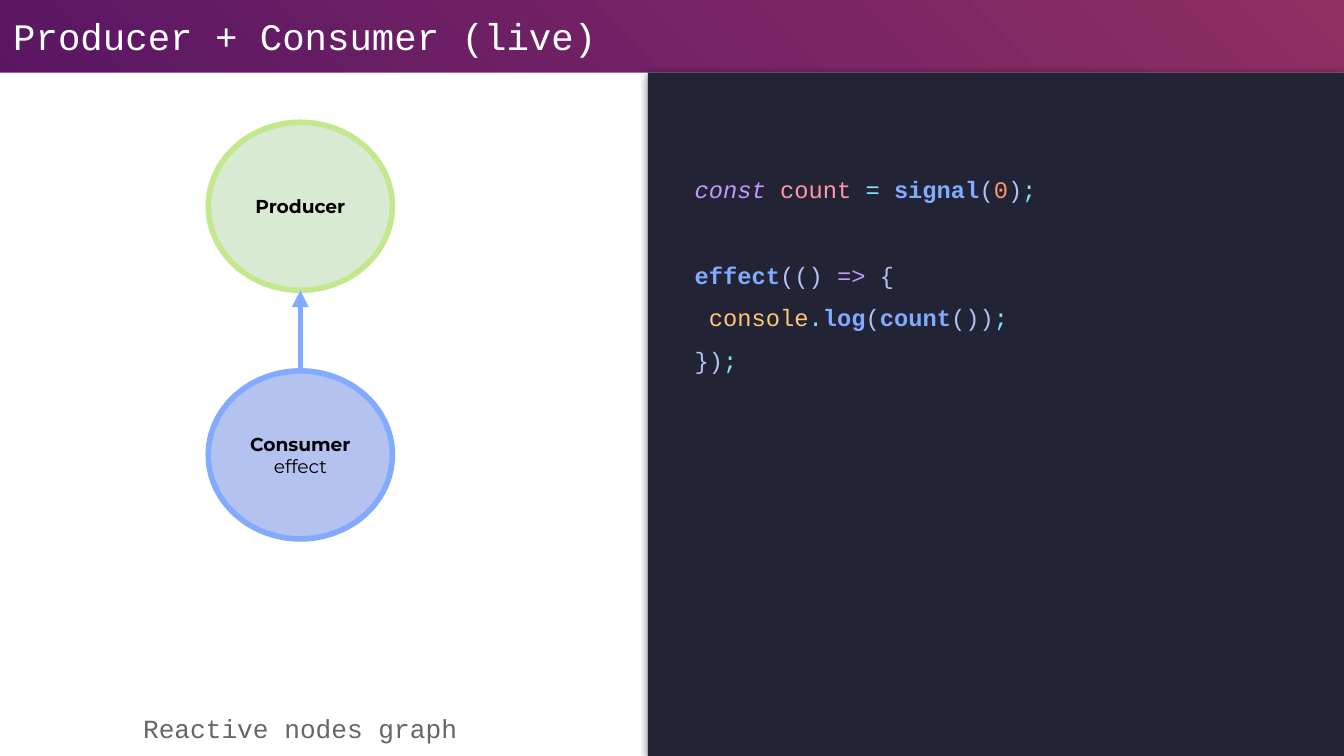
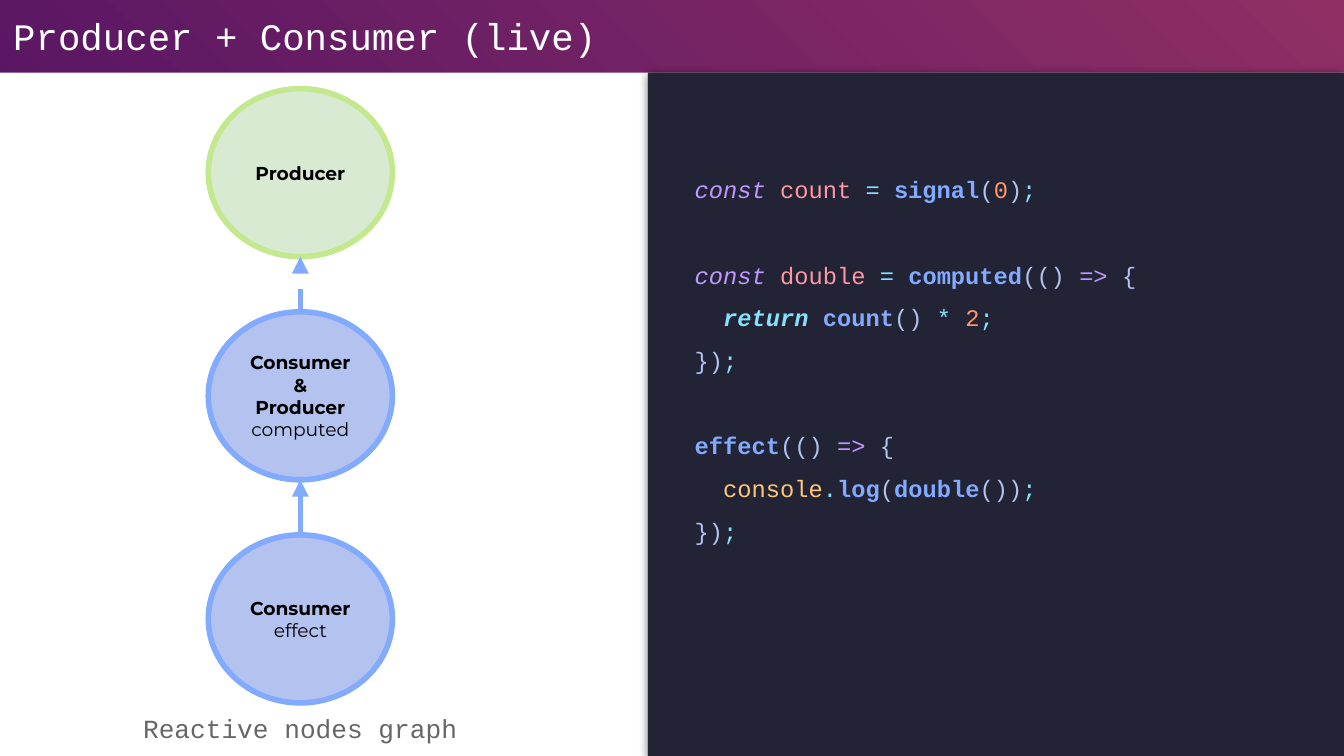
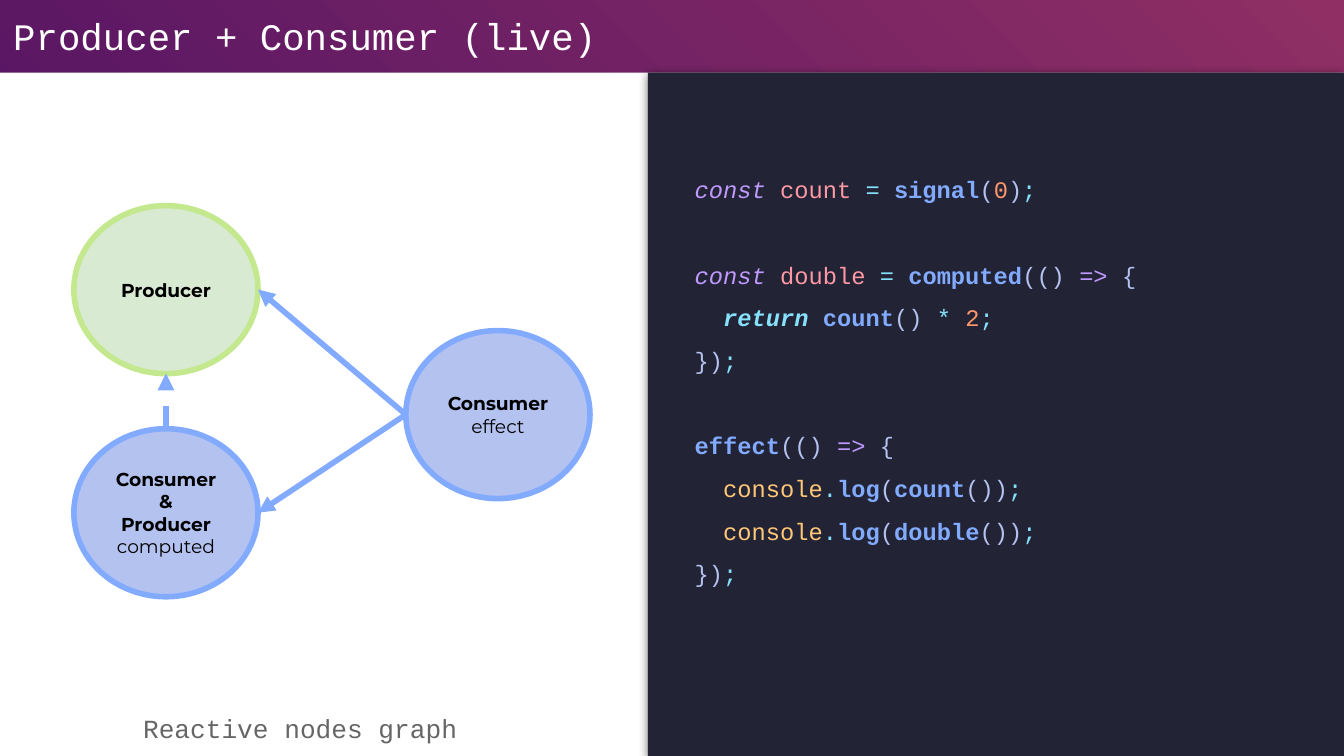
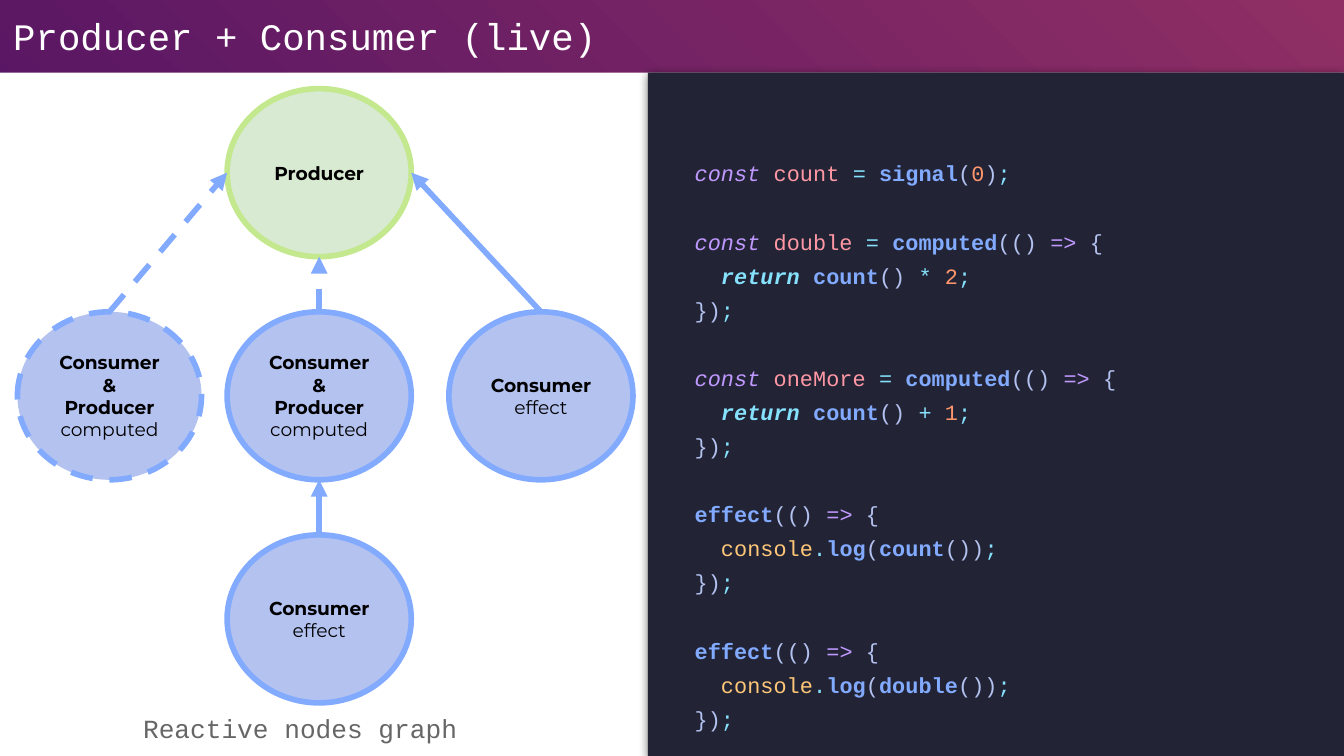
from collections import namedtuple

from lxml.etree import SubElement
from pptx import Presentation
from pptx.dml.color import RGBColor
from pptx.enum.dml import MSO_LINE
from pptx.enum.shapes import MSO_CONNECTOR, MSO_SHAPE
from pptx.enum.text import MSO_ANCHOR, PP_ALIGN
from pptx.oxml import parse_xml
from pptx.oxml.ns import nsdecls, qn
from pptx.util import Inches, Pt

WHITE = RGBColor(0xFF, 0xFF, 0xFF)
BLACK = RGBColor(0x00, 0x00, 0x00)
GREY = RGBColor(0x66, 0x66, 0x66)
NIGHT = RGBColor(0x22, 0x24, 0x36)
MINT = RGBColor(0xD9, 0xEA, 0xD3)
LIME = RGBColor(0xC3, 0xE8, 0x8D)
LAVENDER = RGBColor(0xB4, 0xC2, 0xF0)
BLUE = RGBColor(0x82, 0xAA, 0xFF)
VIOLET = RGBColor(0xC0, 0x99, 0xFF)
PALE = RGBColor(0xC8, 0xD3, 0xF5)
ROSE = RGBColor(0xFF, 0x98, 0xA4)
CYAN = RGBColor(0x86, 0xE1, 0xFC)
ORANGE = RGBColor(0xFF, 0x96, 0x6C)
AMBER = RGBColor(0xFF, 0xC7, 0x77)
BACKDROP = [
    (0, RGBColor(0xF3, 0x5C, 0x65)),
    (0, RGBColor(0x8F, 0x2F, 0x64)),
    (64, RGBColor(0x5D, 0x18, 0x64)),
    (100, RGBColor(0x2B, 0x01, 0x63)),
]

CODE_FONT = "Courier New"
NODE_FONT = "Montserrat"
LINE_HEIGHT = 1.2

Box = namedtuple("Box", "left top width height")
Style = namedtuple("Style", "color bold italic", defaults=(False, False))
NodeKind = namedtuple("NodeKind", "role detail fill outline")
Node = namedtuple("Node", "kind left top dashed", defaults=(False,))
Arrow = namedtuple("Arrow", "source source_side target target_side dashed", defaults=(False,))

TITLE_BOX = Box(0, 0, 9.01, 0.54)
PAGE_BOX = Box(0, 0.54, 10, 5.09)
CODE_BOX = Box(4.82, 0.54, 5.18, 5.09)
NODE_WIDTH, NODE_HEIGHT, NODE_STEP = 1.37, 1.25, 1.66

SITES = {"top": (0, 0.5, 0), "left": (2, 0, 0.5), "bottom": (4, 0.5, 1), "right": (6, 1, 0.5)}

PRODUCER = NodeKind(["Producer"], None, MINT, LIME)
COMPUTED = NodeKind(["Consumer", "&\vProducer"], "computed", LAVENDER, BLUE)
EFFECT = NodeKind(["Consumer"], "effect", LAVENDER, BLUE)

KEYWORD = Style(VIOLET, italic=True)
RETURN = Style(CYAN, bold=True, italic=True)
CALL = Style(BLUE, bold=True)
NAME, OPERATOR, NUMBER = Style(ROSE), Style(CYAN), Style(ORANGE)
OBJECT, BRACKET, SPACE = Style(AMBER), Style(LAVENDER), Style(PALE)


def declare(name, function):
    return [("const", KEYWORD), (" ", SPACE), (name, NAME), (" ", SPACE),
            ("=", OPERATOR), (" ", SPACE), (function, CALL)]


def open_callback():
    return [("(()", BRACKET), (" ", SPACE), ("=>", KEYWORD), (" ", SPACE), ("{", BRACKET)]


def log(name, indent="  "):
    return [(indent, BRACKET), ("console", OBJECT), (".", OPERATOR), ("log", CALL),
            ("(", BRACKET), (name, CALL), ("())", BRACKET), (";", OPERATOR)]


CLOSE = [("})", BRACKET), (";", OPERATOR)]
COUNT_SIGNAL = [declare("count", "signal") + [
    ("(", BRACKET), ("0", NUMBER), (")", BRACKET), (";", OPERATOR)]]


def computed(name, operator, number):
    result = [("  ", BRACKET), ("return", RETURN), (" ", BRACKET), ("count", CALL),
              ("() ", BRACKET), (operator, OPERATOR), (" ", BRACKET), (number, NUMBER),
              (";", OPERATOR)]
    return [declare(name, "computed") + open_callback(), result, CLOSE]


def effect(*logs):
    return [[("effect", CALL)] + open_callback(), *logs, CLOSE]


def place(box):
    return [Inches(length) for length in box]


def paint_backdrop(slide):
    slide.background.fill.solid()
    solid = slide.element.find(".//" + qn("p:bgPr"))[0]
    stops = "".join(
        f'<a:gs pos="{percent * 1000}"><a:srgbClr val="{color}"/></a:gs>'
        for percent, color in BACKDROP)
    solid.getparent().replace(solid, parse_xml(
        f'<a:gradFill {nsdecls("a")}><a:gsLst>{stops}</a:gsLst><a:path path="circle">'
        '<a:fillToRect l="100000" b="100000"/></a:path></a:gradFill>'))


def add_panel(slide, box, color):
    panel = slide.shapes.add_shape(MSO_SHAPE.RECTANGLE, *place(box))
    panel.shadow.inherit = False
    panel.fill.solid()
    panel.fill.fore_color.rgb = color
    panel.line.fill.background()
    return panel


def cast_shadow(panel):
    effects = panel.element.spPr.find(qn("a:effectLst"))
    effects.append(parse_xml(
        f'<a:outerShdw {nsdecls("a")} blurRad="{Pt(4.5)}" dist="{Pt(1.5)}" dir="5400000" '
        'algn="bl" rotWithShape="0"><a:srgbClr val="000000"><a:alpha val="50000"/>'
        '</a:srgbClr></a:outerShdw>'))


def add_frame(slide, box):
    frame = slide.shapes.add_textbox(*place(box)).text_frame
    frame.word_wrap = True
    set_insets(frame)
    return frame


def set_insets(frame):
    frame.margin_left = frame.margin_right = Inches(0.1)
    frame.margin_top = frame.margin_bottom = Inches(0.1)


def set_font(font, name, size, color, bold=False):
    font.name = name
    font.size = Pt(size)
    font.color.rgb = color
    font.bold = bold


def add_label(slide, box, text, size, color, align=PP_ALIGN.LEFT):
    label = add_frame(slide, box).paragraphs[0]
    label.text = text
    label.alignment = align
    set_font(label.font, CODE_FONT, size, color)


def add_code(slide, box, blocks, size, spacing, height):
    frame = add_frame(slide, Box(box.left + 0.25, box.top + 0.24, 4.62, height))
    gap = Pt(size * spacing * LINE_HEIGHT)
    frame.margin_top = Inches(0.1) + gap
    for block_number, block in enumerate(blocks):
        for line_number, tokens in enumerate(block):
            first = block_number == line_number == 0
            line = frame.paragraphs[0] if first else frame.add_paragraph()
            line.line_spacing = spacing
            line.font.name = CODE_FONT
            line.font.size = Pt(size)
            if line_number == 0 and not first:
                line.space_before = gap
            for text, style in tokens:
                token = line.add_run()
                token.text = text
                set_font(token.font, CODE_FONT, size, style.color, style.bold)
                token.font.italic = style.italic


def set_stroke(line, color, dashed):
    line.color.rgb = color
    line.width = Pt(3)
    if dashed:
        line.dash_style = MSO_LINE.DASH


def add_node(slide, box, node):
    kind = node.kind
    circle = slide.shapes.add_shape(MSO_SHAPE.OVAL, *place(
        Box(box.left + node.left, box.top + node.top, NODE_WIDTH, NODE_HEIGHT)))
    circle.shadow.inherit = False
    circle.fill.solid()
    circle.fill.fore_color.rgb = kind.fill
    set_stroke(circle.line, kind.outline, node.dashed)
    frame = circle.text_frame
    frame.word_wrap = True
    frame.vertical_anchor = MSO_ANCHOR.MIDDLE
    set_insets(frame)
    lines = [(text, True) for text in kind.role]
    if kind.detail:
        lines.append((kind.detail, False))
    for number, (text, bold) in enumerate(lines):
        line = frame.add_paragraph() if number else frame.paragraphs[0]
        line.text = text
        line.alignment = PP_ALIGN.CENTER
        set_font(line.font, NODE_FONT, 10, BLACK, bold)
    return circle


def side_point(circle, side):
    _, across, down = SITES[side]
    return (round(circle.left + circle.width * across),
            round(circle.top + circle.height * down))


def add_arrow(slide, circles, arrow):
    ends = [("a:stCxn", circles[arrow.source], arrow.source_side),
            ("a:endCxn", circles[arrow.target], arrow.target_side)]
    start, finish = [side_point(circle, side) for _, circle, side in ends]
    link = slide.shapes.add_connector(MSO_CONNECTOR.STRAIGHT, *start, *finish)
    set_stroke(link.line, BLUE, arrow.dashed)
    SubElement(link.line._get_or_add_ln(), qn("a:tailEnd"), type="triangle")
    SubElement(link.element.spPr, qn("a:effectLst"))
    joints = link.element.find(".//" + qn("p:cNvCxnSpPr"))
    for tag, circle, side in ends:
        SubElement(joints, qn(tag), id=str(circle.shape_id), idx=str(SITES[side][0]))


def add_graph(slide, box, nodes, arrows):
    add_label(slide, Box(box.left + 0.55, box.top + 4.66, 3.37, 0.44),
              "Reactive nodes graph", 14, GREY, PP_ALIGN.CENTER)
    circles = [add_node(slide, box, node) for node in nodes]
    for arrow in arrows:
        add_arrow(slide, circles, arrow)


def add_live_slide(deck, blocks, nodes, arrows, size=12.7, spacing=1.5, height=4.6):
    slide = deck.slides.add_slide(deck.slide_layouts[6])
    paint_backdrop(slide)
    add_panel(slide, PAGE_BOX, WHITE)
    cast_shadow(add_panel(slide, CODE_BOX, NIGHT))
    add_label(slide, TITLE_BOX, "Producer + Consumer (live)", 20, WHITE)
    add_code(slide, CODE_BOX, blocks, size, spacing, height)
    add_graph(slide, PAGE_BOX, nodes, arrows)


def stack(left, top, *kinds):
    return [Node(kind, left, top + row * NODE_STEP) for row, kind in enumerate(kinds)]


def main():
    deck = Presentation()
    deck.slide_width = Inches(10)
    deck.slide_height = Inches(5.625)

    double = computed("double", "*", "2")
    to_producer = Arrow(1, "top", 0, "bottom", dashed=True)
    to_computed = Arrow(2, "top", 1, "bottom")

    add_live_slide(
        deck,
        [COUNT_SIGNAL, effect(log("count", " "))],
        [Node(PRODUCER, 1.55, 0.37), Node(EFFECT, 1.55, 2.22)],
        [Arrow(1, "top", 0, "bottom")])

    add_live_slide(
        deck,
        [COUNT_SIGNAL, double, effect(log("double"))],
        stack(1.55, 0.12, PRODUCER, COMPUTED, EFFECT),
        [to_producer, to_computed])

    add_live_slide(
        deck,
        [COUNT_SIGNAL, double, effect(log("count"), log("double"))],
        stack(0.55, 0.99, PRODUCER, COMPUTED) + [Node(EFFECT, 3.02, 1.92)],
        [to_producer, Arrow(2, "left", 1, "right"), Arrow(2, "left", 0, "right")])

    add_live_slide(
        deck,
        [COUNT_SIGNAL, double, computed("oneMore", "+", "1"),
         effect(log("count")), effect(log("double"))],
        stack(1.69, 0.12, PRODUCER, COMPUTED, EFFECT) + [
            Node(EFFECT, 3.34, 1.78), Node(COMPUTED, 0.13, 1.78, dashed=True)],
        [to_producer, to_computed, Arrow(3, "top", 0, "right"),
         Arrow(4, "top", 0, "left", dashed=True)],
        size=11.7, spacing=1.3, height=4.8)

    deck.save("out.pptx")


if __name__ == "__main__":
    main()
